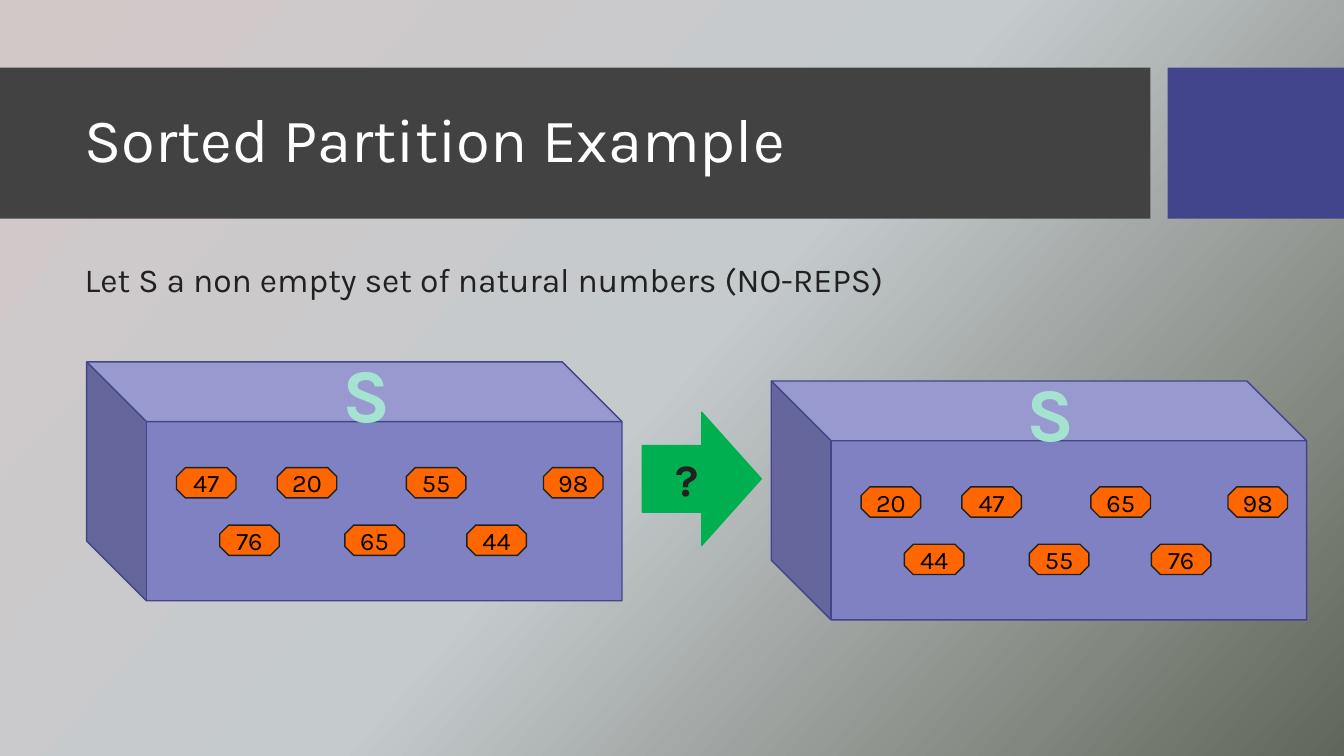
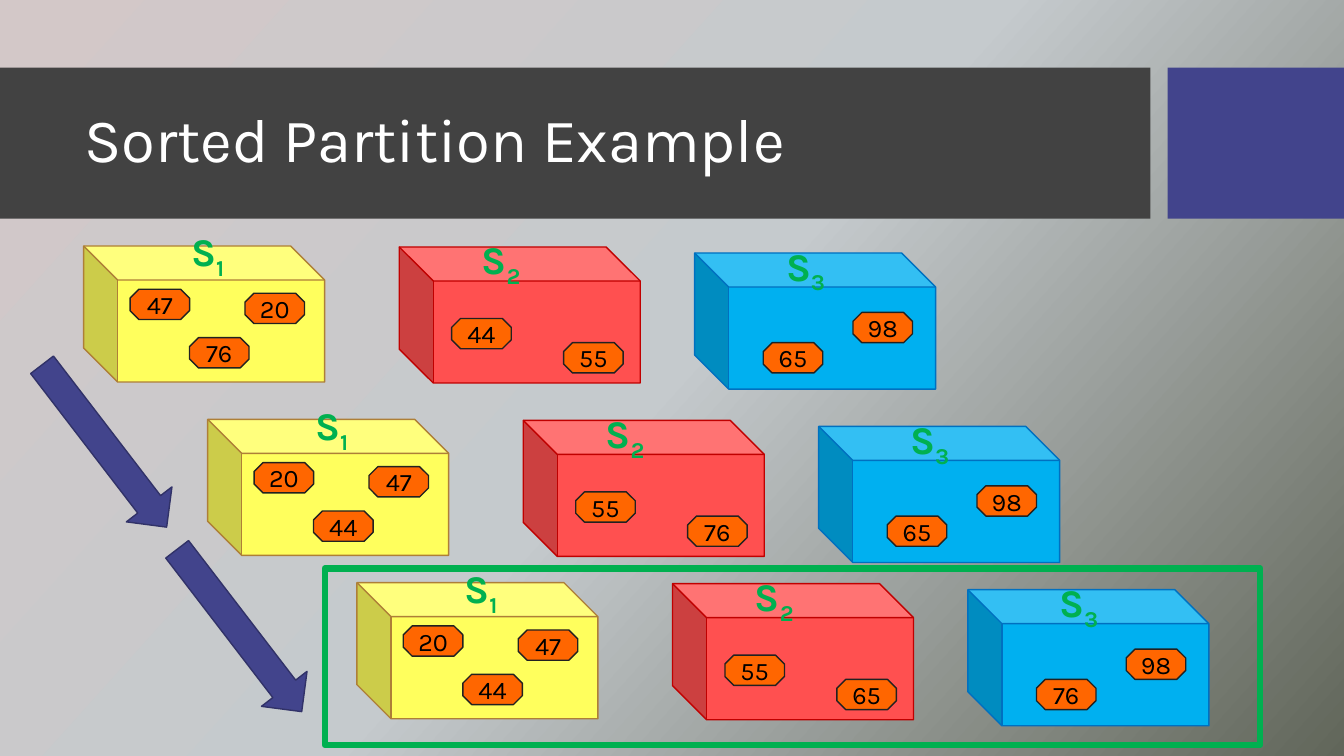
from copy import deepcopy

from lxml import etree
from pptx import Presentation
from pptx.dml.color import RGBColor
from pptx.enum.shapes import MSO_SHAPE
from pptx.enum.text import MSO_ANCHOR, MSO_AUTO_SIZE, PP_ALIGN
from pptx.oxml.ns import qn
from pptx.util import Inches, Pt

RECTANGLE = MSO_SHAPE.RECTANGLE
CUBE = MSO_SHAPE.CUBE
OCTAGON = MSO_SHAPE.OCTAGON
RIGHT_ARROW = MSO_SHAPE.RIGHT_ARROW
LEFT, CENTER = PP_ALIGN.LEFT, PP_ALIGN.CENTER
TOP, MIDDLE = MSO_ANCHOR.TOP, MSO_ANCHOR.MIDDLE
NO_FIT = MSO_AUTO_SIZE.NONE

FONT = "Karla"
COLORS = {
    "sky_start": "D3C8C8", "sky_middle": "C5CACD", "sky_end": "61665A",
    "band": "424242", "accent": "42448C", "accent_line": "313268",
    "white": "FFFFFF", "black": "000000", "ink": "212121",
    "violet": "7F81C3", "mint": "A5E3D1", "mint_line": "33A583",
    "token": "FF6600", "green": "00B050",
    "yellow": "FFFF5D", "yellow_line": "AE7F37",
    "red": "FF5050", "red_line": "C00000",
    "blue": "00B0F0", "blue_line": "0070C0",
}
TITLE = "Sorted Partition Example"
TOKEN_SIZE = (0.59, 0.3)

LARGE_BOX = {
    "size": (5.31, 2.37), "fill": "violet", "line": "accent",
    "label_box": (2.48, -0.2, 0.59, 1.01),
    "label_format": {"size": 54, "color": "mint", "outline": ("mint_line", 1.75), "wrap": False},
    "tokens": [(0.89, 1.05), (1.89, 1.05), (3.17, 1.05), (4.53, 1.05),
               (1.32, 1.62), (2.56, 1.62), (3.77, 1.62)],
}
SMALL_BOX = {
    "size": (2.39, 1.35),
    "label_format": {"size": 28, "color": "green", "outline": ("ink", 1)},
}
PARTS = [
    ((0, 0), SMALL_BOX | {
        "fill": "yellow", "line": "yellow_line", "label_box": (0.75, -0.23, 0.96, 0.57),
        "tokens": [(0.46, 0.43), (1.6, 0.47), (1.05, 0.91)]}),
    ((3.13, 0.01), SMALL_BOX | {
        "fill": "red", "line": "red_line", "label_box": (0.53, -0.16, 0.96, 0.57),
        "tokens": [(0.52, 0.71), (1.63, 0.95)]}),
    ((6.06, 0.07), SMALL_BOX | {
        "fill": "blue", "line": "blue_line", "label_box": (0.62, -0.16, 0.96, 0.57),
        "tokens": [(0.68, 0.89), (1.57, 0.59)]}),
]
ROWS = [
    ((0.83, 2.44), [(47, 20, 76), (44, 55), (65, 98)]),
    ((2.06, 4.16), [(20, 47, 44), (55, 76), (65, 98)]),
    ((3.54, 5.78), [(20, 47, 44), (55, 65), (76, 98)]),
]


def rgb(name):
    return RGBColor.from_string(COLORS[name])


def place(shape, box):
    shape.left, shape.top, shape.width, shape.height = map(Inches, box)


def set_text(shape, text, size=18, color="black", bold=False, align=CENTER, anchor=MIDDLE,
             wrap=True, inset=None, line_spacing=None, space_before=0, subscript="", outline=None):
    frame = shape.text_frame
    frame.auto_size, frame.word_wrap, frame.vertical_anchor = NO_FIT, wrap, anchor
    if inset is not None:
        frame.margin_left = frame.margin_right = Inches(inset)
        frame.margin_top = frame.margin_bottom = Inches(inset)
    paragraph = frame.paragraphs[0]
    paragraph.alignment, paragraph.line_spacing = align, line_spacing
    paragraph.space_before = Pt(space_before)
    for part in filter(None, (text, subscript)):
        run = paragraph.add_run()
        run.text = part
        run.font.name, run.font.size, run.font.bold = FONT, Pt(size), bold
        run.font.color.rgb = rgb(color)
        properties = run.font._element
        if part is subscript:
            properties.set("baseline", "-25000")
        if outline:
            line = etree.Element(qn("a:ln"), w=str(Pt(outline[1])))
            fill = etree.SubElement(line, qn("a:solidFill"))
            etree.SubElement(fill, qn("a:srgbClr"), val=COLORS[outline[0]])
            properties.insert(0, line)
    return paragraph


def add_shape(shapes, kind, box, fill=None, line=None, line_width=1, rotation=0):
    shape = shapes.add_shape(kind, *map(Inches, box))
    shape.shadow.inherit = False
    shape.rotation = rotation
    if fill:
        shape.fill.solid()
        shape.fill.fore_color.rgb = rgb(fill)
    else:
        shape.fill.background()
    if line:
        shape.line.color.rgb = rgb(line)
        shape.line.width = Pt(line_width)
    else:
        shape.line.fill.background()
    return shape


def style_master(master, slide):
    fill = master.background.fill
    fill.gradient()
    fill.gradient_angle = 318
    stop_list = master.element.find(".//" + qn("a:gsLst"))
    stop_list.append(deepcopy(stop_list[-1]))
    names = ("sky_start", "sky_middle", "sky_end")
    for stop, name, position in zip(fill.gradient_stops, names, (0, 0.5, 1)):
        stop.color.rgb = rgb(name)
        stop.position = position
    bands = [((0, 0.67, 11.41, 1.5), "band"), ((11.58, 0.67, 1.75, 1.5), "accent")]
    for index, (box, color) in enumerate(bands):
        element = add_shape(slide.shapes, RECTANGLE, box, color)._element
        element.nvSpPr.cNvPr.set("id", str(100 + index))
        master.shapes._spTree.insert(2 + index, element)


def draw_title(slide):
    title = slide.shapes.title
    place(title, (0.74, 0.82, 10.51, 1.18))
    set_text(title, TITLE, size=44, color="white", align=LEFT, line_spacing=0.9)


def draw_body(slide, text):
    body = slide.placeholders[1]
    place(body, (0.74, 2.56, 10.51, 3.94))
    paragraph = set_text(body, text, size=24, color="ink", align=LEFT, anchor=TOP,
                         line_spacing=0.9, space_before=10)
    properties = paragraph._element.get_or_add_pPr()
    properties.set("marL", "0")
    properties.set("indent", "0")
    etree.SubElement(properties, qn("a:buNone"))


def draw_number_box(shapes, origin, style, numbers, subscript=""):
    left, top = origin
    cube = add_shape(shapes, CUBE, (left, top, *style["size"]), style["fill"], style["line"])
    cube._element.spPr.xfrm.set("flipH", "1")
    for number, (x, y) in zip(numbers, style["tokens"]):
        token = add_shape(shapes, OCTAGON, (left + x, top + y, *TOKEN_SIZE), "token", "ink")
        set_text(token, str(number), wrap=False, inset=0)
    x, y, width, height = style["label_box"]
    label = shapes.add_textbox(*map(Inches, (left + x, top + y, width, height)))
    set_text(label, "S", bold=True, anchor=TOP, subscript=subscript, **style["label_format"])


def draw_partition_row(slide, origin, number_sets):
    group = slide.shapes.add_group_shape()
    left, top = origin
    for index, ((x, y), style) in enumerate(PARTS):
        draw_number_box(group.shapes, (left + x, top + y), style, number_sets[index], str(index + 1))


def build_question_slide(slide):
    draw_title(slide)
    draw_body(slide, "Let S a non empty set of natural numbers (NO-REPS)")
    for origin, numbers in [((0.86, 3.59), (47, 20, 55, 98, 76, 65, 44)),
                            ((7.65, 3.78), (20, 47, 65, 98, 44, 55, 76))]:
        draw_number_box(slide.shapes.add_group_shape().shapes, origin, LARGE_BOX, numbers)
    arrow = add_shape(slide.shapes, RIGHT_ARROW, (6.37, 4.09, 1.18, 1.32), "green", "green")
    set_text(arrow, "?", size=32, color="ink", bold=True)


def build_steps_slide(slide):
    draw_title(slide)
    for origin, number_sets in ROWS:
        draw_partition_row(slide, origin, number_sets)
    for left, top in [(0.02, 4.14), (1.36, 5.97)]:
        add_shape(slide.shapes, RIGHT_ARROW, (left, top, 2.03, 0.57), "accent", "accent_line",
                  rotation=52.5)
    add_shape(slide.shapes, RECTANGLE, (3.22, 5.64, 9.28, 1.75), line="green", line_width=4.5)


def main():
    presentation = Presentation()
    presentation.slide_width, presentation.slide_height = Inches(13.33), Inches(7.5)
    layouts = presentation.slide_layouts
    question_slide = presentation.slides.add_slide(layouts.get_by_name("Title and Content"))
    steps_slide = presentation.slides.add_slide(layouts.get_by_name("Title Only"))
    style_master(presentation.slide_master, question_slide)
    build_question_slide(question_slide)
    build_steps_slide(steps_slide)
    presentation.save("out.pptx")


if __name__ == "__main__":
    main()
